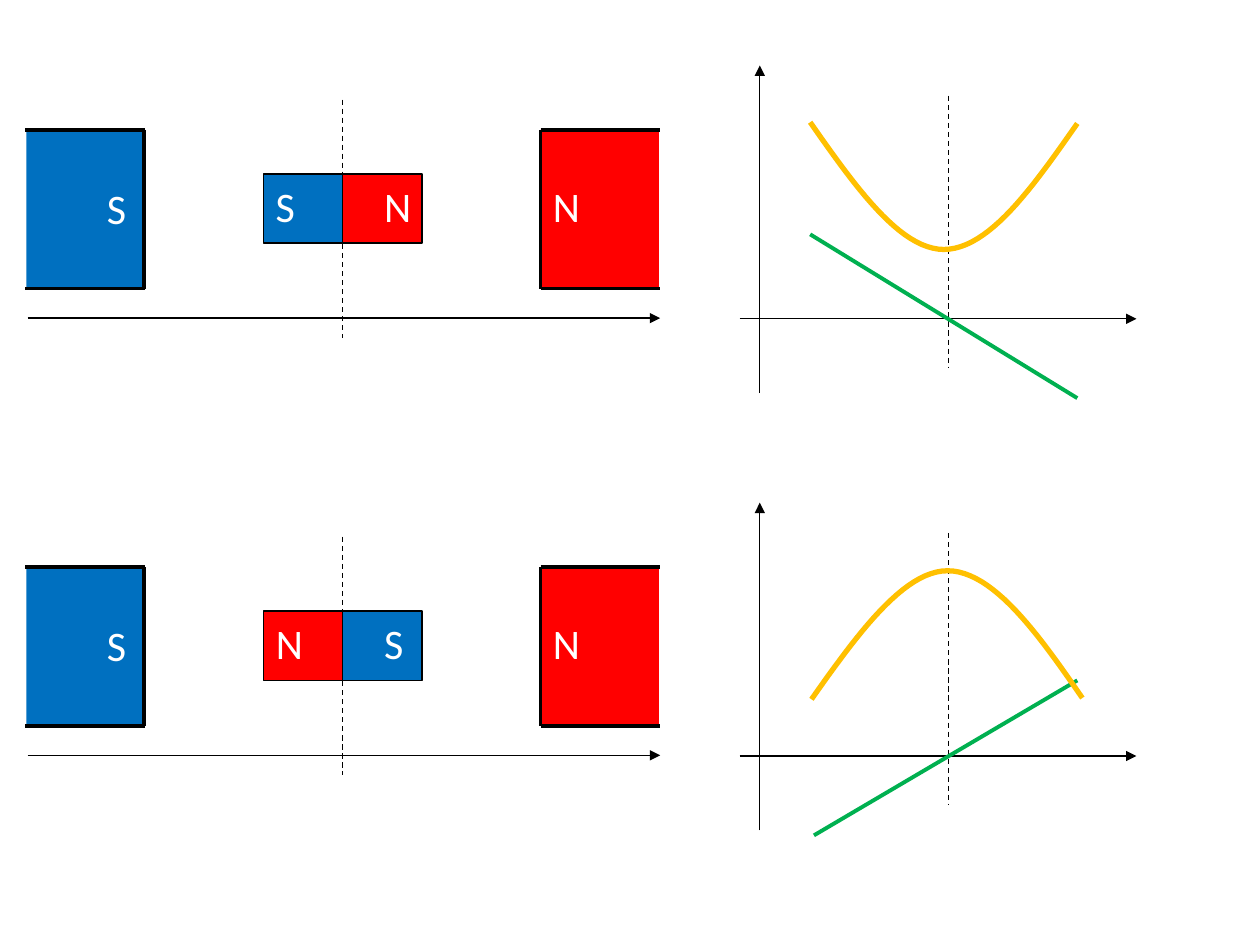
from pptx import Presentation
from pptx.dml.color import RGBColor
from pptx.enum.dml import MSO_LINE
from pptx.enum.shapes import MSO_CONNECTOR, MSO_SHAPE
from pptx.enum.text import MSO_AUTO_SIZE
from pptx.oxml.ns import qn
from pptx.util import Inches, Pt
from lxml.etree import SubElement

BLACK, WHITE = "000000", "FFFFFF"
GREEN, GOLD = "00B050", "FFC000"
POLES = {"S": ("0070C0", 3.6), "N": ("FF0000", 4.2)}  # fill, label width
THIN, THICK, BOLD = 0.75, 2.25, 3


def paint(code):
    return RGBColor.from_string(code)


class Sketch:
    """Draws on one slide; lengths are cells of a 100 by 75 grid."""
    font, size = "Calibri", 24

    def __init__(self, deck):
        self.slide = deck.slides.add_slide(deck.slide_layouts[6])
        self.shapes = self.slide.shapes
        self.cell = deck.slide_width / 100
        self.top = 0

    def place(self, x, y):
        return round(x * self.cell), round((y + self.top) * self.cell)

    def span(self, w, h):
        return round(w * self.cell), round(h * self.cell)

    def stroke(self, line, color, width):
        line.color.rgb = paint(color)
        line.width = Pt(width)

    def block(self, x, y, w, h, fill, edge=False):
        box = self.shapes.add_shape(MSO_SHAPE.RECTANGLE, *self.place(x, y), *self.span(w, h))
        box.shadow.inherit = False
        box.fill.solid()
        box.fill.fore_color.rgb = paint(fill)
        if edge:
            self.stroke(box.line, BLACK, THIN)
        else:
            box.line.fill.background()

    def label(self, x, y, pole):
        box = self.shapes.add_textbox(*self.place(x, y), *self.span(POLES[pole][1], 5))
        frame = box.text_frame
        frame.word_wrap = False
        frame.auto_size = MSO_AUTO_SIZE.SHAPE_TO_FIT_TEXT
        frame.text = pole
        font = frame.paragraphs[0].runs[0].font
        font.name, font.size = self.font, Pt(self.size)
        font.color.rgb = paint(WHITE)

    def line(self, start, end, color=BLACK, width=THIN, dash=False, arrow=False):
        link = self.shapes.add_connector(
            MSO_CONNECTOR.STRAIGHT, *self.place(*start), *self.place(*end))
        self.stroke(link.line, color, width)
        if dash:
            link.line.dash_style = MSO_LINE.DASH
        if arrow:
            SubElement(link.line._get_or_add_ln(), qn("a:tailEnd"), type="triangle")
        SubElement(link._element.spPr, qn("a:effectLst"))

    def curve(self, knots, steps=24):
        """Traces joined cubic Bezier arcs: a start, then three points per arc."""
        dots = []
        for i in range(0, len(knots) - 1, 3):
            arc = knots[i:i + 4]
            for k in range(steps + 1):
                t = k / steps
                mix = ((1 - t) ** 3, 3 * t * (1 - t) ** 2, 3 * t * t * (1 - t), t ** 3)
                dots.append(self.place(*(sum(m * p[a] for m, p in zip(mix, arc))
                                         for a in (0, 1))))
        form = self.shapes.build_freeform(*dots[0])
        form.add_line_segments(dots[1:], close=False)
        shape = form.convert_to_shape()
        shape.shadow.inherit = False
        shape.fill.background()
        self.stroke(shape.line, GOLD, BOLD)


def magnets(art, left, right):
    # Outer poles and the small magnet between them
    art.block(2.1, 10.3, 9.4, 12.6, POLES["S"][0])
    art.block(42.9, 10.3, 9.4, 12.6, POLES["N"][0])
    for x, pole in ((20.9, left), (27.2, right)):
        art.block(x, 13.8, 6.3, 5.5, POLES[pole][0], edge=True)

    # Pole letters
    for x, y, pole in ((20.9, 13.8, left), (29.5, 13.8, right),
                       (42.9, 13.8, "N"), (7.5, 14, "S")):
        art.label(x, y, pole)

    # Open outlines of the outer poles
    for face, start in ((42.9, 42.9), (11.4, 2)):
        art.line((face, 10.3), (face, 22.9), width=THICK)
        for y in (10.3, 22.9):
            art.line((start, y), (start + 9.5, y), width=THICK)

    # Position axis and centre line
    art.line((2.2, 25.25), (52.4, 25.25), arrow=True)
    art.line((27.2, 7.9), (27.2, 26.8), dash=True)


def graph(art, force, energy):
    # Axes and centre line, then the two plots
    art.line((58.7, 25.3), (90.2, 25.3), arrow=True)
    art.line((60.3, 31.2), (60.3, 5.2), arrow=True)
    art.line((75.3, 7.6), (75.3, 29.2), dash=True)
    art.line(*force, color=GREEN, width=THICK)
    art.curve(energy)


def main():
    deck = Presentation()
    deck.slide_width, deck.slide_height = Inches(10), Inches(7.5)
    art = Sketch(deck)
    valley = [(64.3, 9.7), (67.8, 14.7), (71.4, 19.8), (74.9, 19.8),
              (78.5, 19.8), (82, 14.8), (85.5, 9.8)]
    hill = [(64.4, 20.8), (68, 15.7), (71.7, 10.6), (75.2, 10.6),
            (78.8, 10.6), (82.4, 15.6), (85.9, 20.7)]
    cases = (("S", "N", ((64.3, 18.6), (85.5, 31.6)), valley),
             ("N", "S", ((64.6, 31.6), (85.5, 19.3)), hill))
    for row, (left, right, force, energy) in enumerate(cases):
        art.top = row * 34.7
        magnets(art, left, right)
        graph(art, force, energy)
    deck.save("out.pptx")


if __name__ == "__main__":
    main()
